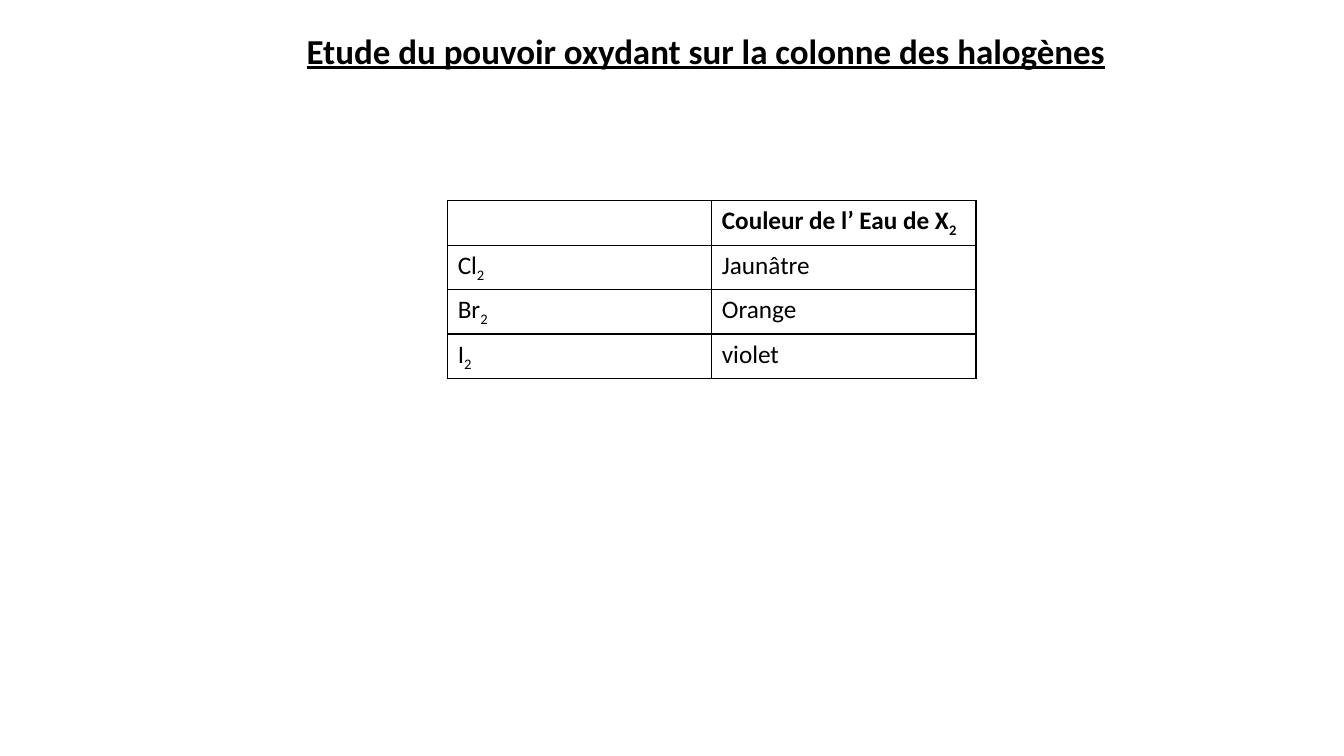
import dataclasses

import lxml.etree
import pptx
import pptx.dml.color
import pptx.enum.text
import pptx.oxml.ns
import pptx.slide
import pptx.table
import pptx.text.text
import pptx.util

Inches = pptx.util.Inches

COLORS = {"text": "000000", "border": "000000", "cell": "FFFFFF"}
TITLE_FORMAT = {"name": "Calibri", "size": pptx.util.Pt(25), "bold": True, "underline": True}
HEADER_FORMAT = {"name": "Calibri", "size": pptx.util.Pt(18), "bold": True}
BODY_FORMAT = {**HEADER_FORMAT, "bold": False}
BORDER_WIDTH = pptx.util.Pt(1)
COLUMN_WIDTH = Inches(2.62)
ROW_HEIGHT = Inches(0.41)


@dataclasses.dataclass(frozen=True)
class Label:
    text: str = ""
    subscript: str = ""


HALOGEN_ROWS: list[tuple[Label, Label]] = [
    (Label(), Label("Couleur de l’ Eau de X", "2")),
    (Label("Cl", "2"), Label("Jaunâtre")),
    (Label("Br", "2"), Label("Orange")),
    (Label("I", "2"), Label("violet")),
]


def add_run(paragraph: pptx.text.text._Paragraph, text: str, formats: dict) -> pptx.text.text._Run:
    run = paragraph.add_run()
    run.text = text
    for attribute, value in formats.items():
        setattr(run.font, attribute, value)
    run.font.color.rgb = pptx.dml.color.RGBColor.from_string(COLORS["text"])
    return run


def add_label(paragraph: pptx.text.text._Paragraph, label: Label, formats: dict) -> None:
    if label.text:
        add_run(paragraph, label.text, formats)
    if label.subscript:
        subscript = add_run(paragraph, label.subscript, formats)
        subscript._r.get_or_add_rPr().set("baseline", "-25000")


def format_cell(cell: pptx.table._Cell) -> None:
    """Draw the four borders, then fill the cell, in schema order."""
    qn = pptx.oxml.ns.qn
    properties = cell._tc.get_or_add_tcPr()
    for side in ("lnL", "lnR", "lnT", "lnB"):
        border = lxml.etree.SubElement(properties, qn(f"a:{side}"), w=str(BORDER_WIDTH))
        solid = lxml.etree.SubElement(border, qn("a:solidFill"))
        lxml.etree.SubElement(solid, qn("a:srgbClr"), val=COLORS["border"])
    cell.fill.solid()
    cell.fill.fore_color.rgb = pptx.dml.color.RGBColor.from_string(COLORS["cell"])


def add_title(slide: pptx.slide.Slide, text: str) -> None:
    title = slide.shapes.title
    title.left, title.top = Inches(0.92), Inches(0.24)
    title.width, title.height = Inches(12.16), Inches(0.52)
    frame_format = {
        "word_wrap": True,
        "auto_size": pptx.enum.text.MSO_AUTO_SIZE.SHAPE_TO_FIT_TEXT,
        "vertical_anchor": pptx.enum.text.MSO_ANCHOR.TOP,
    }
    for attribute, value in frame_format.items():
        setattr(title.text_frame, attribute, value)
    paragraph = title.text_frame.paragraphs[0]
    paragraph.alignment = pptx.enum.text.PP_ALIGN.CENTER
    add_run(paragraph, text, TITLE_FORMAT)


def add_halogen_table(slide: pptx.slide.Slide) -> None:
    row_count, column_count = len(HALOGEN_ROWS), len(HALOGEN_ROWS[0])
    halogens = slide.shapes.add_table(
        row_count, column_count, Inches(4.44), Inches(1.99),
        COLUMN_WIDTH * column_count, ROW_HEIGHT * row_count,
    ).table
    halogens.horz_banding = False
    for row_index, labels in enumerate(HALOGEN_ROWS):
        formats = BODY_FORMAT if row_index else HEADER_FORMAT
        for column_index, label in enumerate(labels):
            cell = halogens.cell(row_index, column_index)
            format_cell(cell)
            add_label(cell.text_frame.paragraphs[0], label, formats)


def main() -> None:
    presentation = pptx.Presentation()
    presentation.slide_width, presentation.slide_height = Inches(13.33), Inches(7.5)
    title_only = presentation.slide_layouts.get_by_name("Title Only")
    slide = presentation.slides.add_slide(title_only)
    add_title(slide, "Etude du pouvoir oxydant sur la colonne des halogènes")
    add_halogen_table(slide)
    presentation.save("out.pptx")


if __name__ == "__main__":
    main()
